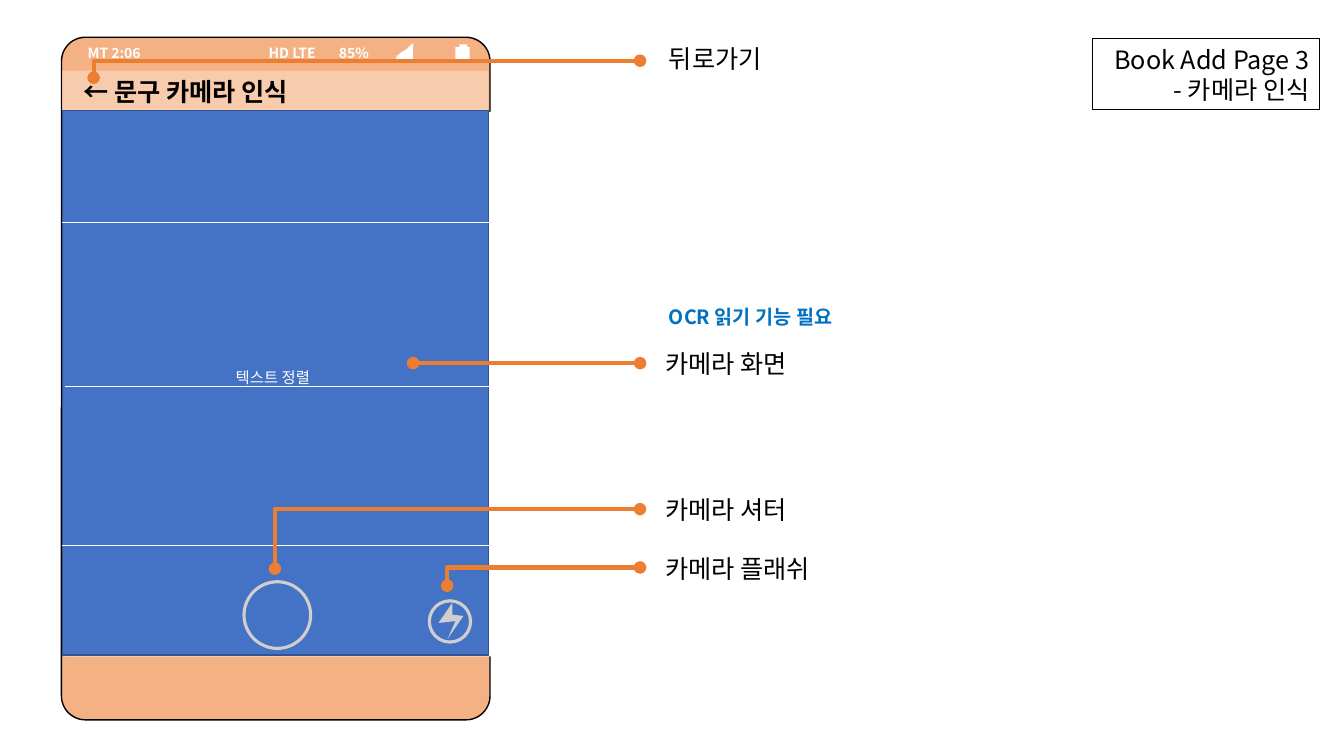
import dataclasses
import typing

import lxml.etree
import pptx
import pptx.dml.color
import pptx.enum.shapes
import pptx.enum.text
import pptx.oxml.ns
import pptx.util

Cm = pptx.util.Cm
Pt = pptx.util.Pt
RGBColor = pptx.dml.color.RGBColor
Preset = pptx.enum.shapes.MSO_SHAPE
Align = pptx.enum.text.PP_ALIGN
qn = pptx.oxml.ns.qn
Point = tuple[float, float]
Color = typing.Optional[RGBColor]

FONT = "Noto Sans CJK KR"
BLACK = RGBColor(0x00, 0x00, 0x00)
WHITE = RGBColor(0xFF, 0xFF, 0xFF)
ORANGE = RGBColor(0xED, 0x7D, 0x31)
PEACH = RGBColor(0xF4, 0xB1, 0x83)
LIGHT_PEACH = RGBColor(0xF8, 0xCB, 0xAD)
BLUE = RGBColor(0x44, 0x72, 0xC4)
DARK_BLUE = RGBColor(0x32, 0x54, 0x91)
NOTE_BLUE = RGBColor(0x00, 0x70, 0xC0)
GREY = RGBColor(0xD0, 0xCE, 0xCE)


@dataclasses.dataclass(frozen=True)
class Block:
    preset: typing.Any
    box: tuple[float, float, float, float]
    fill: Color = None
    line: Color = None
    width: float = 1


@dataclasses.dataclass(frozen=True)
class Callout:
    text: str
    label: Point
    label_width: float
    route: tuple[Point, ...]


CALLOUT_END = 16.13
PHONE_BLOCK = Block(Preset.ROUNDED_RECTANGLE, (1.55, 0.94, 10.8, 17.2), PEACH, BLACK)
SCREEN_BLOCKS = [
    Block(Preset.RECTANGLE, (1.57, 1.78, 10.74, 1.02), LIGHT_PEACH),
    Block(Preset.RECTANGLE, (11.48, 1.19, 0.36, 0.33), WHITE),
    Block(Preset.RECTANGLE, (11.58, 1.12, 0.2, 0.3), WHITE),
    Block(Preset.RECTANGLE, (1.63, 2.82, 10.74, 13.72), WHITE),
    Block(Preset.RECTANGLE, (1.57, 2.79, 10.74, 13.72), BLUE, DARK_BLUE),
    Block(Preset.OVAL, (6.15, 14.66, 1.68, 1.68), None, GREY, 2.25),
    Block(Preset.OVAL, (10.82, 15.14, 1.04, 1.04), None, GREY, 2.25),
]
TITLE_BLOCK = Block(Preset.RECTANGLE, (27.53, 0.97, 5.72, 1.8), None, BLACK, 0.75)
SIGNAL = [(9.98, 1.5), (10.41, 1.5), (10.41, 1.09), (10.31, 1.17), (10.26, 1.23),
          (10.19, 1.27), (10.11, 1.32), (10.08, 1.35), (10, 1.41)]
BOLT = [(11.4, 15.19), (11.05, 15.7), (11.48, 15.65), (11.28, 16.1),
        (11.68, 15.52), (11.4, 15.49)]
GUIDES = [((1.57, 5.61), (12.37, 5.61)), ((1.63, 9.73), (12.4, 9.73)),
          ((1.55, 13.74), (12.34, 13.74))]
CALLOUTS = [
    Callout("뒤로가기", (16.61, 0.97), 3.07,
            ((2.36, 1.96), (2.36, 1.53), (CALLOUT_END, 1.53))),
    Callout("카메라 화면", (16.51, 8.64), 3.94, ((10.41, 9.15), (CALLOUT_END, 9.15))),
    Callout("카메라 셔터", (16.51, 12.32), 3.94,
            ((6.93, 14.33), (6.93, 12.83), (CALLOUT_END, 12.83))),
    Callout("카메라 플래쉬", (16.51, 13.82), 4.6,
            ((11.27, 14.76), (11.27, 14.3), (CALLOUT_END, 14.3))),
]


def paint(shape: typing.Any, fill: Color, line: Color, width: float) -> None:
    shape.shadow.inherit = False
    if fill is None:
        shape.fill.background()
    else:
        shape.fill.solid()
        shape.fill.fore_color.rgb = fill
    if line is None:
        shape.line.fill.background()
    else:
        shape.line.color.rgb = line
        shape.line.width = Pt(width)


def draw_block(slide: typing.Any, block: Block) -> typing.Any:
    shape = slide.shapes.add_shape(block.preset, *map(Cm, block.box))
    paint(shape, block.fill, block.line, block.width)
    return shape


def draw_path(slide: typing.Any, points: typing.Sequence[Point], *, fill: Color = None,
              line: Color = None, width: float = 1, close: bool = True) -> typing.Any:
    corners = [(Cm(x), Cm(y)) for x, y in points]
    builder = slide.shapes.build_freeform(*corners[0], scale=1.0)
    builder.add_line_segments(corners[1:], close=close)
    shape = builder.convert_to_shape()
    paint(shape, fill, line, width)
    return shape


def draw_line(slide: typing.Any, start: Point, end: Point, color: RGBColor,
              width: float) -> typing.Any:
    line = slide.shapes.add_connector(pptx.enum.shapes.MSO_CONNECTOR.STRAIGHT,
                                      *map(Cm, (*start, *end)))
    line.line.color.rgb = color
    line.line.width = Pt(width)
    lxml.etree.SubElement(line._element.spPr, qn("a:effectLst"))
    return line


def write(slide: typing.Any, text: str, box: tuple[float, float, float, float], *,
          size: float = 18, color: RGBColor = BLACK, bold: bool = False,
          align: typing.Any = Align.LEFT, wrap: bool = False,
          spacing: typing.Optional[float] = None,
          tabs: typing.Sequence[float] = ()) -> None:
    frame = slide.shapes.add_textbox(*map(Cm, box)).text_frame
    frame.word_wrap = wrap
    frame.vertical_anchor = pptx.enum.text.MSO_ANCHOR.MIDDLE
    for index, words in enumerate(text.split("\n")):
        paragraph = frame.add_paragraph() if index else frame.paragraphs[0]
        paragraph.alignment = align
        if spacing:
            paragraph.line_spacing = Pt(spacing)
        if tabs:
            stops = lxml.etree.SubElement(paragraph._p.get_or_add_pPr(), qn("a:tabLst"))
            for stop in tabs:
                lxml.etree.SubElement(stops, qn("a:tab"), pos=str(Cm(stop)), algn="l")
        run = paragraph.add_run()
        run.text = words
        run.font.size = Pt(size)
        run.font.bold = bold
        run.font.color.rgb = color
        run.font.name = FONT
        lxml.etree.SubElement(run._r.get_or_add_rPr(), qn("a:ea"), typeface=FONT)


def draw_callout(slide: typing.Any, callout: Callout) -> None:
    if len(callout.route) == 2:
        leader = draw_line(slide, *callout.route, ORANGE, 3)
    else:
        leader = draw_path(slide, callout.route, line=ORANGE, width=3, close=False)
    outline = leader.line._get_or_add_ln()
    for end in ("a:headEnd", "a:tailEnd"):
        lxml.etree.SubElement(outline, qn(end), type="oval")
    write(slide, callout.text, (*callout.label, callout.label_width, 1.02))


def main() -> None:
    deck = pptx.Presentation()
    deck.slide_width, deck.slide_height = Cm(33.87), Cm(19.05)
    slide = deck.slides.add_slide(deck.slide_layouts[6])

    # Phone body and camera screen
    phone = draw_block(slide, PHONE_BLOCK)
    phone.adjustments[0] = 0.056
    for block in SCREEN_BLOCKS:
        draw_block(slide, block)
    draw_path(slide, SIGNAL, fill=WHITE)
    draw_path(slide, BOLT, fill=GREY)
    for start, end in GUIDES:
        draw_line(slide, start, end, WHITE, 0.5)

    # Text on the phone
    write(slide, "MT 2:06\tHD LTE\t85%", (1.96, 0.99, 10.13, 0.69), size=10,
          color=WHITE, bold=True, wrap=True, tabs=(4.56, 6.33))
    write(slide, "← 문구 카메라 인식", (1.85, 1.8, 9.12, 1.02), bold=True, wrap=True)
    write(slide, "텍스트 정렬", (5.69, 9.14, 2.62, 0.74), size=11, color=WHITE)

    # Callouts and note
    for callout in CALLOUTS:
        draw_callout(slide, callout)
    write(slide, "OCR 읽기 기능 필요", (16.61, 7.54, 5.05, 0.86), size=14,
          color=NOTE_BLUE, bold=True)

    # Page title
    draw_block(slide, TITLE_BLOCK)
    write(slide, "Book Add Page 3\n- 카메라 인식", TITLE_BLOCK.box,
          align=Align.RIGHT, spacing=22)

    deck.save("out.pptx")


if __name__ == "__main__":
    main()
